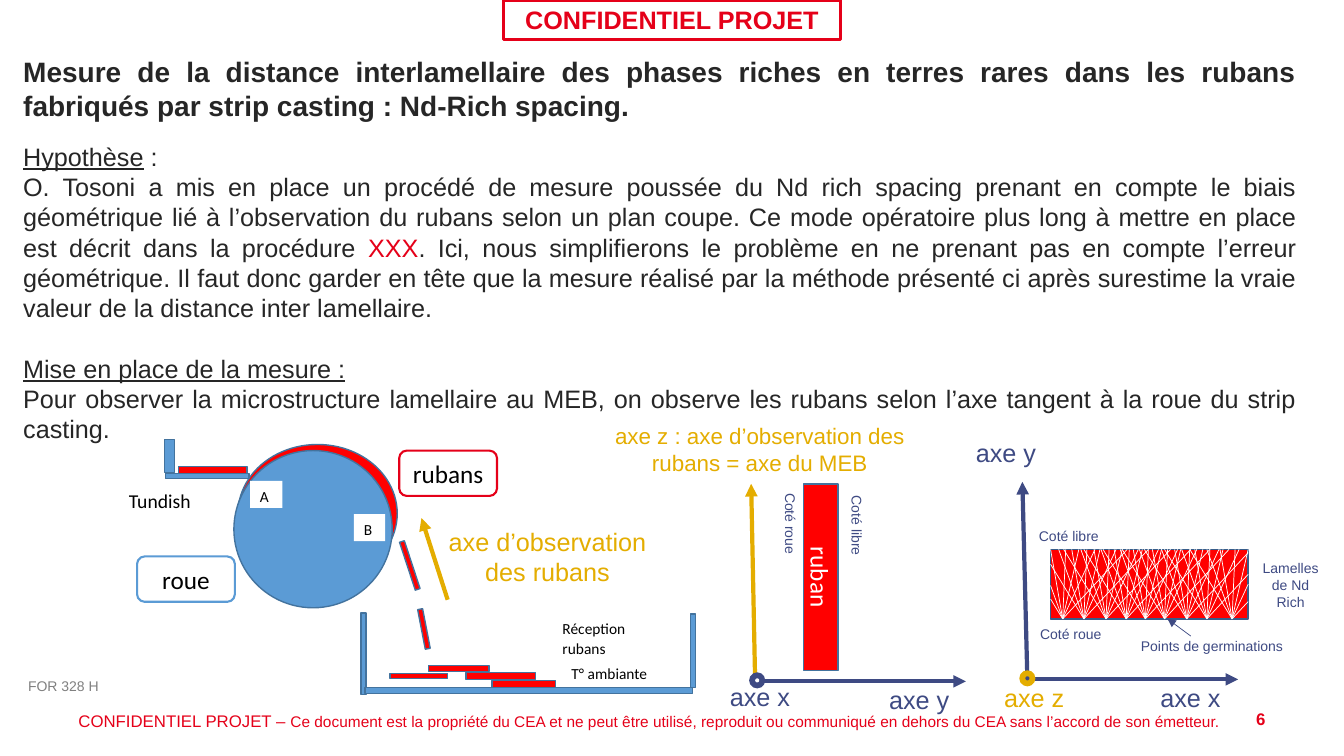
import dataclasses
import typing

import pptx
import pptx.dml.color
import pptx.enum.shapes
import pptx.enum.text
import pptx.oxml
import pptx.oxml.ns
import pptx.util

Inches = pptx.util.Inches
Shape = pptx.enum.shapes.MSO_SHAPE
Align = pptx.enum.text.PP_ALIGN
Anchor = pptx.enum.text.MSO_ANCHOR

COLORS = {
    "red": "E50019", "ribbon": "FF0000", "steel": "5B9BD5", "edge": "43739E",
    "navy": "3E4A83", "gold": "E4AD00", "text": "262626", "grey": "808080",
    "black": "000000", "white": "FFFFFF", "lamella_edge": "385D8A",
}


@dataclasses.dataclass(frozen=True)
class Block:
    """A preset shape, with an optional caption."""
    left: float
    top: float
    width: float
    height: float
    fill: str | None = "ribbon"
    line: str | None = "edge"
    kind: typing.Any = Shape.RECTANGLE
    rotation: float = 0
    weight: float = 1
    caption: str = ""
    style: dict = dataclasses.field(default_factory=dict)


@dataclasses.dataclass(frozen=True)
class Label:
    """A text box."""
    text: str
    left: float
    top: float
    width: float
    height: float
    color: str = "navy"
    size: float = 18
    align: typing.Any = Align.LEFT
    rotation: float = 0
    bold: bool = False


@dataclasses.dataclass(frozen=True)
class Stroke:
    """A straight line, with an optional arrowhead at its end."""
    x1: float
    y1: float
    x2: float
    y2: float
    color: str = "navy"
    weight: float = 3
    arrow: bool = True


def rgb(name: str) -> pptx.dml.color.RGBColor:
    return pptx.dml.color.RGBColor.from_string(COLORS[name])


def add_text(paragraph, text: str, *, size: float = 18, color: str = "text",
             font: str = "Arial", bold: bool = False, underline: bool = False,
             align=None, line_spacing: float | None = None) -> None:
    if align is not None:
        paragraph.alignment = align
    if line_spacing is not None:
        paragraph.line_spacing = line_spacing
    run = paragraph.add_run()
    run.text = text
    run.font.name, run.font.size = font, pptx.util.Pt(size)
    run.font.bold, run.font.underline = bold, underline
    run.font.color.rgb = rgb(color)


def place(shape, left: float, top: float, width: float, height: float) -> None:
    shape.left, shape.top = Inches(left), Inches(top)
    shape.width, shape.height = Inches(width), Inches(height)


def prepare_frame(frame, anchor=Anchor.TOP, wrap: bool = True) -> None:
    frame.word_wrap = wrap
    frame.auto_size = pptx.enum.text.MSO_AUTO_SIZE.NONE
    frame.vertical_anchor = anchor
    frame.margin_left = frame.margin_right = Inches(0.1)
    frame.margin_top = frame.margin_bottom = Inches(0.05)


def draw_block(slide, block: Block, anchor=Anchor.MIDDLE, wrap: bool = True):
    shape = slide.shapes.add_shape(block.kind, *map(
        Inches, (block.left, block.top, block.width, block.height)))
    shape.shadow.inherit = False
    shape.rotation = block.rotation
    if block.fill:
        shape.fill.solid()
        shape.fill.fore_color.rgb = rgb(block.fill)
    else:
        shape.fill.background()
    if block.line:
        shape.line.color.rgb = rgb(block.line)
        shape.line.width = pptx.util.Pt(block.weight)
    else:
        shape.line.fill.background()
    if block.caption:
        prepare_frame(shape.text_frame, anchor, wrap)
        add_text(shape.text_frame.paragraphs[0], block.caption,
                 **{"align": Align.CENTER, **block.style})
    return shape


def draw_label(slide, label: Label):
    box = slide.shapes.add_textbox(*map(
        Inches, (label.left, label.top, label.width, label.height)))
    box.rotation = label.rotation
    prepare_frame(box.text_frame)
    add_text(box.text_frame.paragraphs[0], label.text, size=label.size,
             color=label.color, bold=label.bold, align=label.align)
    return box


def draw_stroke(slide, stroke: Stroke) -> None:
    line = slide.shapes.add_connector(
        pptx.enum.shapes.MSO_CONNECTOR.STRAIGHT,
        *map(Inches, (stroke.x1, stroke.y1, stroke.x2, stroke.y2)))
    line.line.color.rgb = rgb(stroke.color)
    line.line.width = pptx.util.Pt(stroke.weight)
    properties = line._element.spPr
    if stroke.arrow:
        head = pptx.oxml.parse_xml(
            f'<a:tailEnd {pptx.oxml.ns.nsdecls("a")} type="triangle"/>')
        properties.find(pptx.oxml.ns.qn("a:ln")).append(head)
    properties.append(pptx.oxml.parse_xml(f'<a:effectLst {pptx.oxml.ns.nsdecls("a")}/>'))


def add_title_and_body(slide) -> None:
    title, body = slide.shapes.title, slide.placeholders[1]
    place(title, 0.13, 0.49, 12.83, 0.77)
    prepare_frame(title.text_frame)
    add_text(title.text_frame.paragraphs[0],
             "Mesure de la distance interlamellaire des phases riches en terres rares dans les "
             "rubans fabriqués par strip casting : Nd-Rich spacing.",
             size=20, bold=True, align=Align.JUSTIFY)
    place(body, 0.13, 1.35, 12.83, 3.13)
    prepare_frame(body.text_frame)
    paragraphs = [
        (0, [("Hypothèse", {"underline": True}), (" :", {})]),
        (0, [("O. Tosoni a mis en place un procédé de mesure poussée du Nd rich spacing prenant en "
              "compte le biais géométrique lié à l’observation du rubans selon un plan coupe. Ce mode "
              "opératoire plus long à mettre en place est décrit dans la procédure ", {}),
             ("XXX", {"color": "red"}),
             (". Ici, nous simplifierons le problème en ne prenant pas en compte l’erreur géométrique. "
              "Il faut donc garder en tête que la mesure réalisé par la méthode présenté ci après "
              "surestime la vraie valeur de la distance inter lamellaire.", {})]),
        (21.6, [("Mise en place de la mesure :", {"underline": True})]),
        (0, [("Pour observer la microstructure lamellaire au MEB, on observe les rubans selon l’axe "
              "tangent à la roue du strip casting.", {})]),
    ]
    for index, (gap, runs) in enumerate(paragraphs):
        frame = body.text_frame
        paragraph = frame.add_paragraph() if index else frame.paragraphs[0]
        properties = paragraph._p.get_or_add_pPr()
        properties.set("marL", "0")
        properties.set("indent", "0")
        properties.append(pptx.oxml.parse_xml(f'<a:buNone {pptx.oxml.ns.nsdecls("a")}/>'))
        paragraph.space_before = pptx.util.Pt(gap)
        for text, style in runs:
            add_text(paragraph, text, align=Align.JUSTIFY, **style)


def add_page_marks(slide) -> None:
    draw_label(slide, Label("FOR 328 H", 0.18, 6.67, 1.07, 0.27, "grey", 10))
    draw_label(slide, Label("6", 11.89, 6.98, 0.76, 0.4, "red", 12, Align.RIGHT, bold=True))
    footer = draw_label(slide, Label("CONFIDENTIEL PROJET – ", 0.68, 7, 12.6, 0.3, "red", 12))
    add_text(footer.text_frame.paragraphs[0],
             "Ce document est la propriété du CEA et ne peut être utilisé, reproduit ou communiqué "
             "en dehors du CEA sans l’accord de son émetteur.", size=11, color="red")
    draw_block(slide, Block(4.99, 0, 3.35, 0.39, "white", "red", weight=2.25,
                            caption="CONFIDENTIEL PROJET", style={"color": "red", "bold": True}))


def add_casting_wheel(slide) -> None:
    parts = [
        Block(1.77, 4.63, 0.68, 0.07),
        Block(2.36, 4.41, 1.58, 1.37, kind=Shape.OVAL),
        Block(2.32, 4.47, 1.57, 1.56, "steel", kind=Shape.OVAL),
        # Tundish and reception tray
        Block(1.64, 4.7, 0.83, 0.05, "steel"), Block(1.63, 4.36, 0.1, 0.33, "steel"),
        Block(3.58, 6.08, 0.05, 0.81, "steel"), Block(3.62, 6.82, 3.25, 0.06, "steel"),
        Block(6.85, 6.09, 0.05, 0.73, "steel"),
        # Falling and collected ribbons
        Block(4.04, 5.36, 0.05, 0.5, rotation=341.8), Block(4.18, 6.04, 0.05, 0.4, rotation=349.1),
        Block(3.87, 6.68, 0.57, 0.05), Block(4.25, 6.6, 0.6, 0.06),
        Block(4.88, 6.75, 0.63, 0.07), Block(4.62, 6.67, 0.69, 0.07),
    ]
    for part in parts:
        draw_block(slide, part)
    captions = [("Tundish", 1.18, 4.78, 0.92, 0.29, 14), ("Réception rubans", 5.48, 6.08, 1.01, 0.51, 11),
                ("T° ambiante", 5.57, 6.53, 1.27, 0.28, 11), ("B", 3.51, 5.1, 0.31, 0.27, 11),
                ("A", 2.48, 4.77, 0.32, 0.27, 11)]
    for text, left, top, width, height, size in captions:
        style = {"size": size, "color": "black", "font": "Calibri", "align": Align.LEFT, "line_spacing": 1.07}
        draw_block(slide, Block(left, top, width, height, "white", None, caption=text, style=style),
                   Anchor.TOP, wrap=len(text) > 1)
    for text, left, top, color in [("rubans", 3.96, 4.47, "red"), ("roue", 1.36, 5.52, "steel")]:
        draw_block(slide, Block(left, top, 0.97, 0.45, None, color, Shape.FLOWCHART_ALTERNATE_PROCESS,
                                weight=1.5, caption=text, style={"color": "black", "font": "Calibri"}))


def add_lamellae(slide) -> None:
    left, top, width, height = 10.42, 5.45, 1.96, 0.69
    draw_block(slide, Block(left, top, width, height, line="lamella_edge"))
    for seed in (10.54, 10.75, 10.97, 11.17, 11.36, 11.55, 11.77, 11.97, 12.22):
        for spread in (-0.42, -0.25, -0.12, 0.03, 0.16, 0.32, 0.64):
            # Each lamella stops at the ribbon's edge
            end = min(max(seed + spread, left), left + width)
            rise = height * (end - seed) / spread
            draw_stroke(slide, Stroke(seed, top + height, end, top + height - rise, "white", 0.5, False))


def add_axes(slide) -> None:
    for stroke in [Stroke(7.48, 6.76, 9.58, 6.76), Stroke(4.44, 5.95, 4.18, 5.14, "gold"),
                   Stroke(7.49, 6.77, 7.45, 4.8, "gold"), Stroke(10.17, 6.74, 12.28, 6.74),
                   Stroke(10.19, 6.75, 10.14, 4.78), Stroke(11.81, 6.31, 11.58, 6.14, weight=0.5)]:
        draw_stroke(slide, stroke)
    for left, top, outer, inner in [(10.11, 6.65, "gold", "navy"), (7.43, 6.67, "navy", "white")]:
        draw_block(slide, Block(left, top, 0.16, 0.16, outer, None, Shape.OVAL))
        draw_block(slide, Block(left + 0.06, top + 0.06, 0.04, 0.04, inner, None, Shape.OVAL))
    for text, left, top, color in [("axe y", 8.72, 6.74, "navy"), ("axe x", 11.41, 6.72, "navy"),
                                   ("axe y", 9.58, 4.29, "navy"), ("axe x", 7.14, 6.71, "navy"),
                                   ("axe z", 9.86, 6.72, "gold")]:
        draw_label(slide, Label(text, left, top, 0.89, 0.4, color))
    draw_label(slide, Label("axe d’observation des rubans", 4.27, 5.17, 2.32, 0.71, "gold", 18, Align.CENTER))
    draw_label(slide, Label("axe z : axe d’observation des rubans = axe du MEB",
                            5.99, 4.14, 3.09, 0.64, "gold", 16, Align.CENTER))
    ribbon = draw_block(slide, Block(7.97, 4.8, 0.34, 1.85, caption="ruban",
                                     style={"color": "white", "font": "Calibri"}))
    ribbon.text_frame._txBody.bodyPr.set("vert", "vert")
    for text, left, top, width, height, rotation in [
            ("Points de germinations", 11.04, 6.28, 1.96, 0.27, 0),
            ("Lamelles de Nd Rich", 12.39, 5.5, 0.82, 0.61, 0),
            ("Coté roue", 10.21, 6.16, 0.82, 0.27, 0), ("Coté libre", 10.19, 5.18, 0.82, 0.27, 0),
            ("Coté roue", 7.43, 5.06, 0.82, 0.27, 90), ("Coté libre", 8.09, 5.08, 0.82, 0.27, 90)]:
        draw_label(slide, Label(text, left, top, width, height, "navy", 10, Align.CENTER, rotation))


def main() -> None:
    presentation = pptx.Presentation()
    presentation.slide_width, presentation.slide_height = Inches(13.33), Inches(7.5)
    slide = presentation.slides.add_slide(presentation.slide_layouts[1])
    for add_part in (add_page_marks, add_title_and_body, add_casting_wheel, add_lamellae, add_axes):
        add_part(slide)
    presentation.save("out.pptx")


if __name__ == "__main__":
    main()
